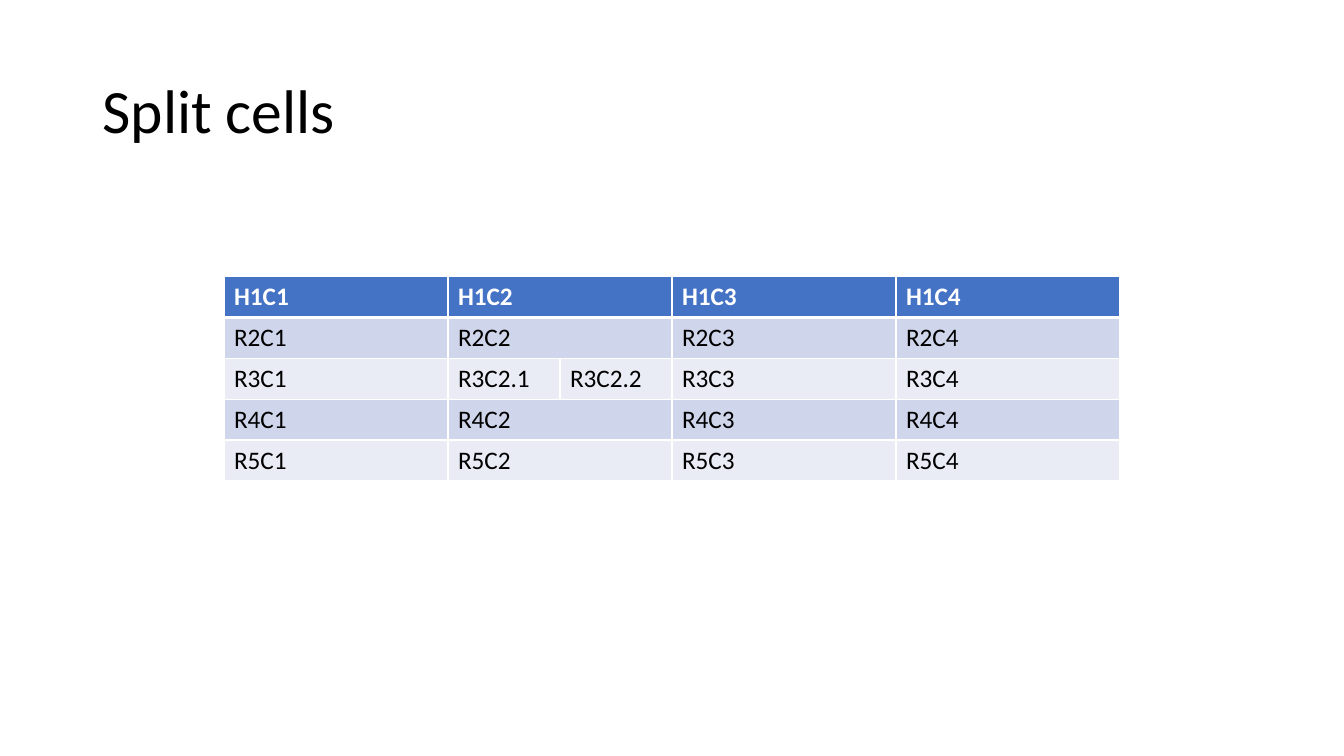
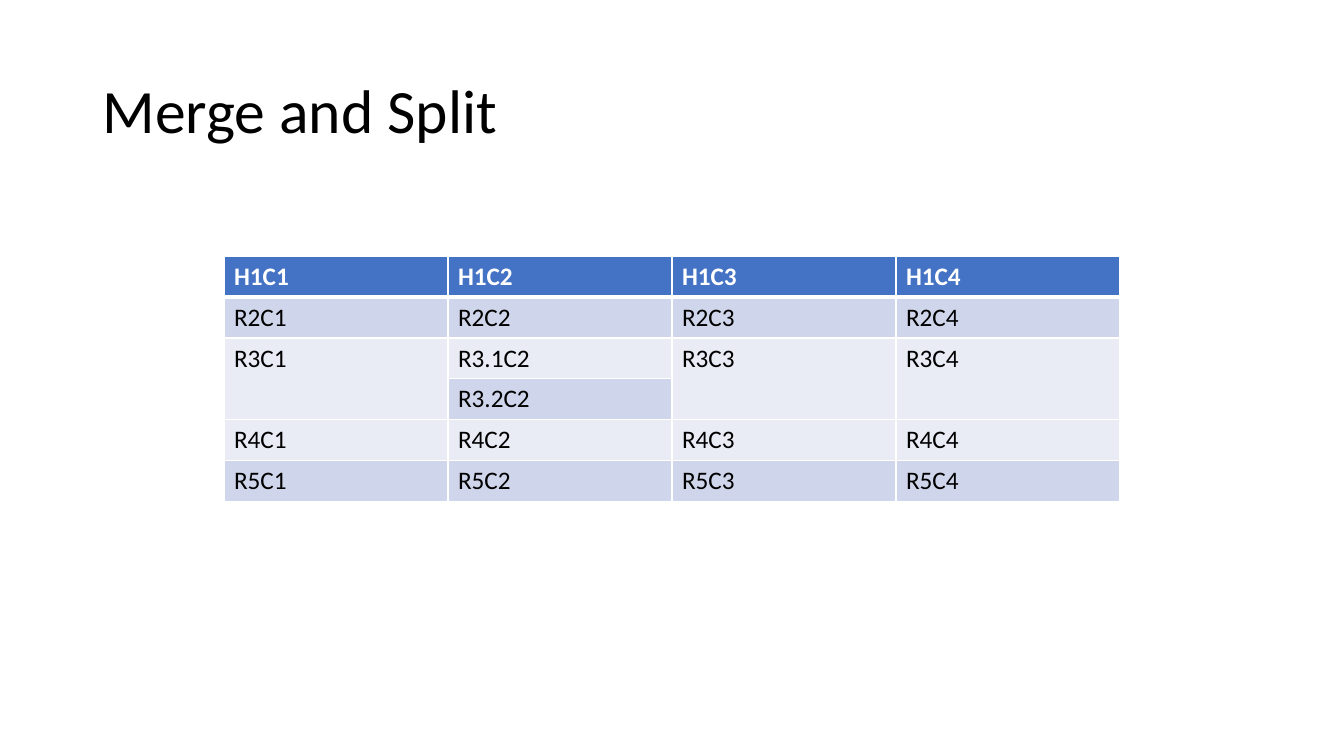
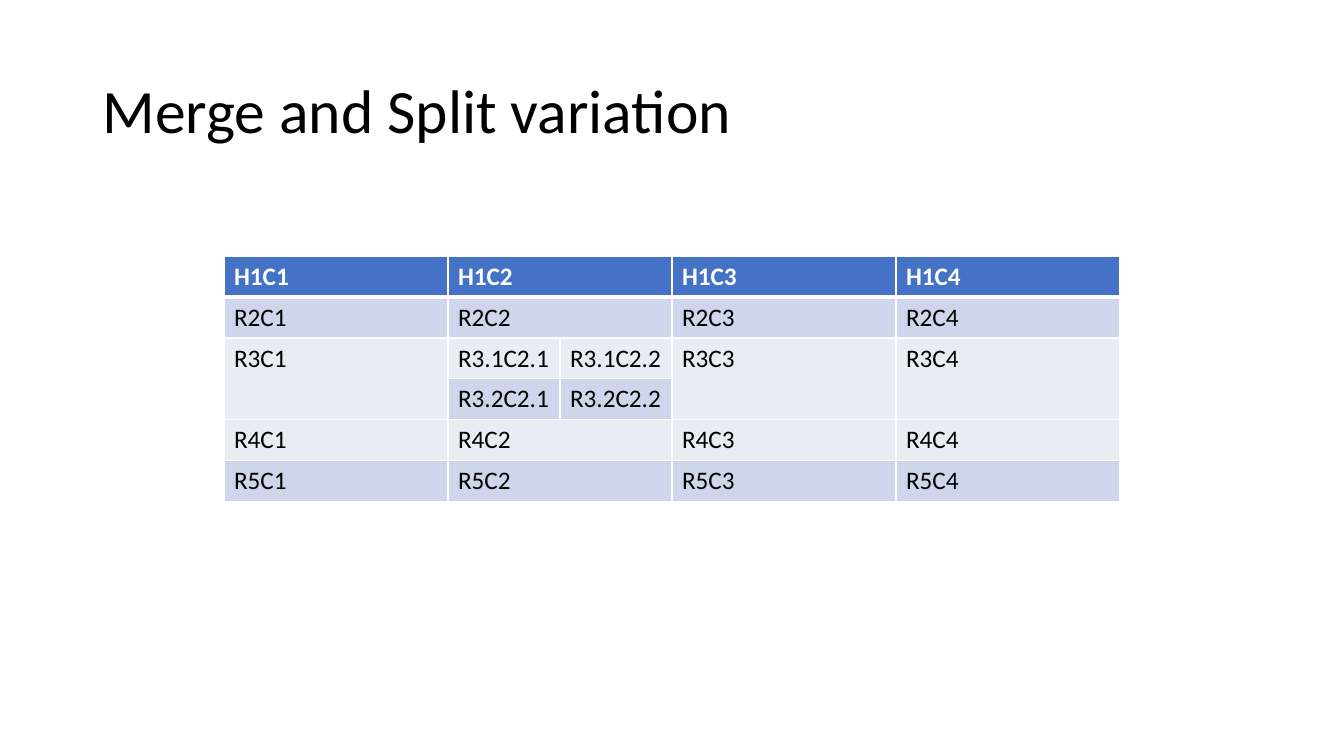
from lxml import etree
from pptx import Presentation
from pptx.dml.color import RGBColor
from pptx.enum.text import MSO_ANCHOR, MSO_AUTO_SIZE, PP_ALIGN
from pptx.oxml.ns import qn
from pptx.util import Emu, Pt

MIDDLE = MSO_ANCHOR.MIDDLE
LEFT_ALIGN = PP_ALIGN.LEFT
NO_AUTOFIT = MSO_AUTO_SIZE.NONE
TITLE_ONLY = 5

EMU_PER_PX = 6350
SLIDE_SIZE = (1920, 1080)
COLUMN = 320
HALF_COLUMN = COLUMN // 2
ROW = 58
HALF_ROW = ROW // 2

# Markers for cells that belong to the neighbour on the left or above
JOIN_LEFT = "<"
JOIN_UP = "^"


def px(length):
    return Emu(length * EMU_PER_PX)


def color(hex_string):
    return RGBColor.from_string(hex_string)


class Deck:
    """Holds the shared style and the current slide."""

    FONT = "Calibri"
    TEXT = "000000"
    WHITE = "FFFFFF"
    HEADER = "4472C4"
    BANDS = ("E9EBF5", "CFD5EA")

    def __init__(self):
        self.presentation = Presentation()
        self.presentation.slide_width, self.presentation.slide_height = map(px, SLIDE_SIZE)
        self.slide = None

    def format_runs(self, paragraph, size, hex_string, bold=False):
        for run in paragraph.runs:
            run.font.name = self.FONT
            run.font.size = Pt(size)
            run.font.bold = bold
            run.font.color.rgb = color(hex_string)

    def add_slide(self, title_text):
        layout = self.presentation.slide_layouts[TITLE_ONLY]
        self.slide = self.presentation.slides.add_slide(layout)
        title = self.slide.shapes.title
        title.left, title.top, title.width, title.height = map(px, (132, 58, 1656, 209))
        text_frame = title.text_frame
        text_frame.text = title_text
        text_frame.word_wrap = True
        text_frame.auto_size = NO_AUTOFIT
        text_frame.vertical_anchor = MIDDLE
        paragraph = text_frame.paragraphs[0]
        paragraph.alignment = LEFT_ALIGN
        paragraph.line_spacing = 0.9
        self.format_runs(paragraph, 44, self.TEXT)

    def add_borders(self, cell, top, bottom):
        """Draws white cell borders; top and bottom are widths in points."""
        properties = cell._tc.get_or_add_tcPr()
        for side, width in (("L", 1), ("R", 1), ("T", top), ("B", bottom)):
            line = etree.SubElement(properties, qn(f"a:ln{side}"), w=str(Pt(width)))
            fill = etree.SubElement(line, qn("a:solidFill"))
            etree.SubElement(fill, qn("a:srgbClr"), val=self.WHITE)

    def style_cell(self, cell, row):
        is_header = row == 0
        self.add_borders(cell, top=3 if row == 1 else 1, bottom=3 if is_header else 1)
        cell.fill.solid()
        cell.fill.fore_color.rgb = color(self.HEADER if is_header else self.BANDS[row % 2])
        text_color = self.WHITE if is_header else self.TEXT
        self.format_runs(cell.text_frame.paragraphs[0], 18, text_color, is_header)

    def add_table(self, top, column_widths, row_heights, rows):
        height = ROW * len(rows)
        frame = self.slide.shapes.add_table(
            len(rows), len(column_widths),
            px(COLUMN), px(top), px(sum(column_widths)), px(height))
        table = frame.table
        for column, width in zip(table.columns, column_widths):
            column.width = px(width)
        for table_row, row_height in zip(table.rows, row_heights):
            table_row.height = px(row_height)
        frame.height = px(height)
        for row, texts in enumerate(rows):
            for column, text in enumerate(texts):
                cell = table.cell(row, column)
                if text == JOIN_LEFT:
                    table.cell(row, column - 1).merge(cell)
                elif text == JOIN_UP:
                    table.cell(row - 1, column).merge(cell)
                else:
                    cell.text_frame.text = text
                self.style_cell(cell, row)


def split_row(name, *second_column):
    """A row whose second column is given cell by cell."""
    return [f"{name}C1", *second_column, f"{name}C3", f"{name}C4"]


def lower_row(*second_column):
    """The lower half of a split row: only the second column has its own cells."""
    return [JOIN_UP, *second_column, JOIN_UP, JOIN_UP]


def whole_rows(names, parts):
    """Rows whose second column spans all its parts."""
    return [split_row(name, f"{name}C2", *[JOIN_LEFT] * (parts - 1)) for name in names]


def main():
    deck = Deck()
    whole_columns = [COLUMN] * 4
    split_columns = [COLUMN, HALF_COLUMN, HALF_COLUMN, COLUMN, COLUMN]
    split_heights = [ROW, ROW, HALF_ROW, HALF_ROW, ROW, ROW]
    upper_names, lower_names = ("H1", "R2"), ("R4", "R5")

    tables = [
        ("Split cells", 395, split_columns, [ROW] * 5,
         [split_row("R3", "R3C2.1", "R3C2.2")]),
        ("Merge and Split", 366, whole_columns, split_heights,
         [split_row("R3", "R3.1C2"), lower_row("R3.2C2")]),
        ("Merge and Split variation", 366, split_columns, split_heights,
         [split_row("R3", "R3.1C2.1", "R3.1C2.2"), lower_row("R3.2C2.1", "R3.2C2.2")]),
    ]
    for title, top, columns, heights, third_row in tables:
        parts = len(columns) - 3
        rows = whole_rows(upper_names, parts) + third_row + whole_rows(lower_names, parts)
        deck.add_slide(title)
        deck.add_table(top, columns, heights, rows)

    deck.presentation.save("out.pptx")


if __name__ == "__main__":
    main()
